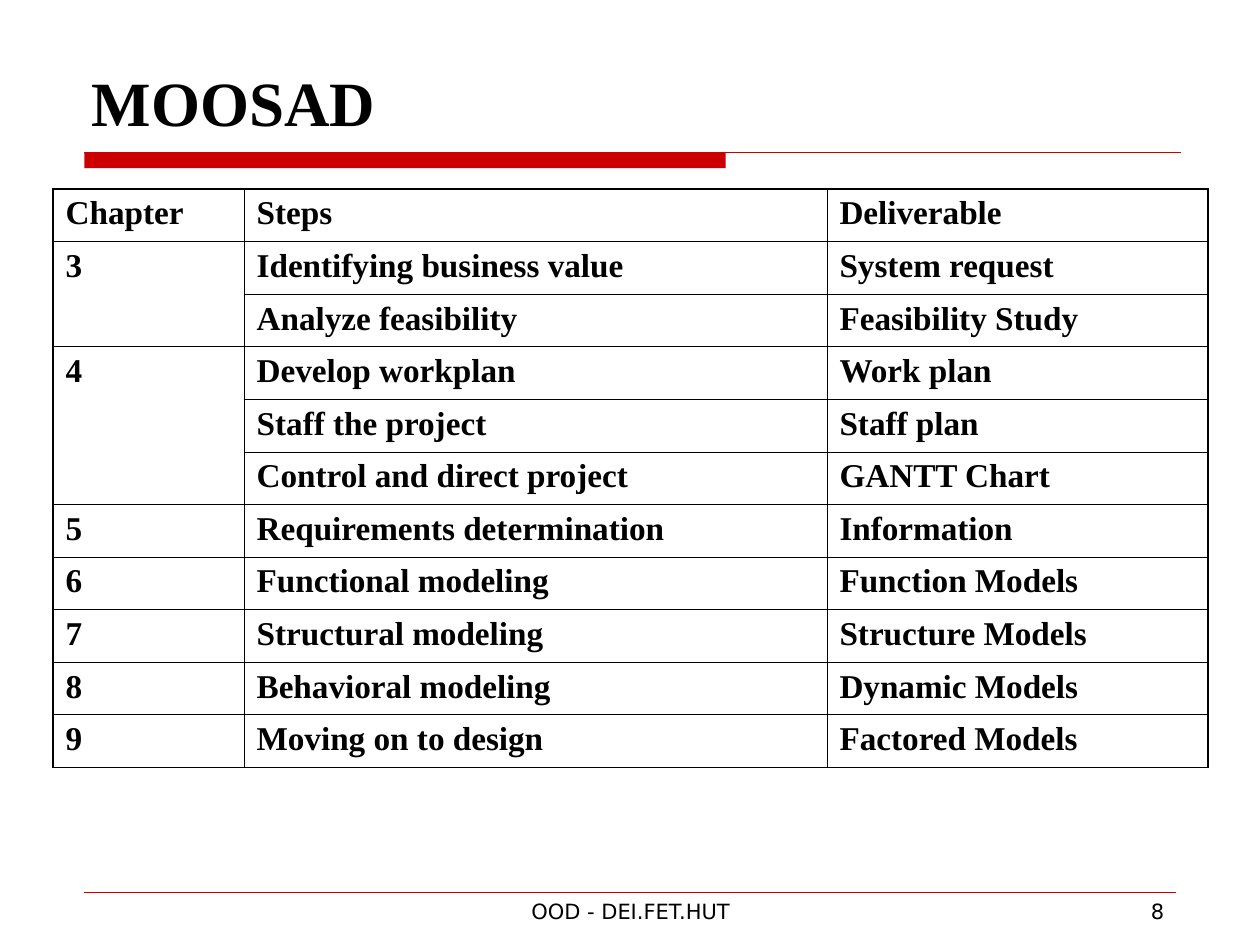
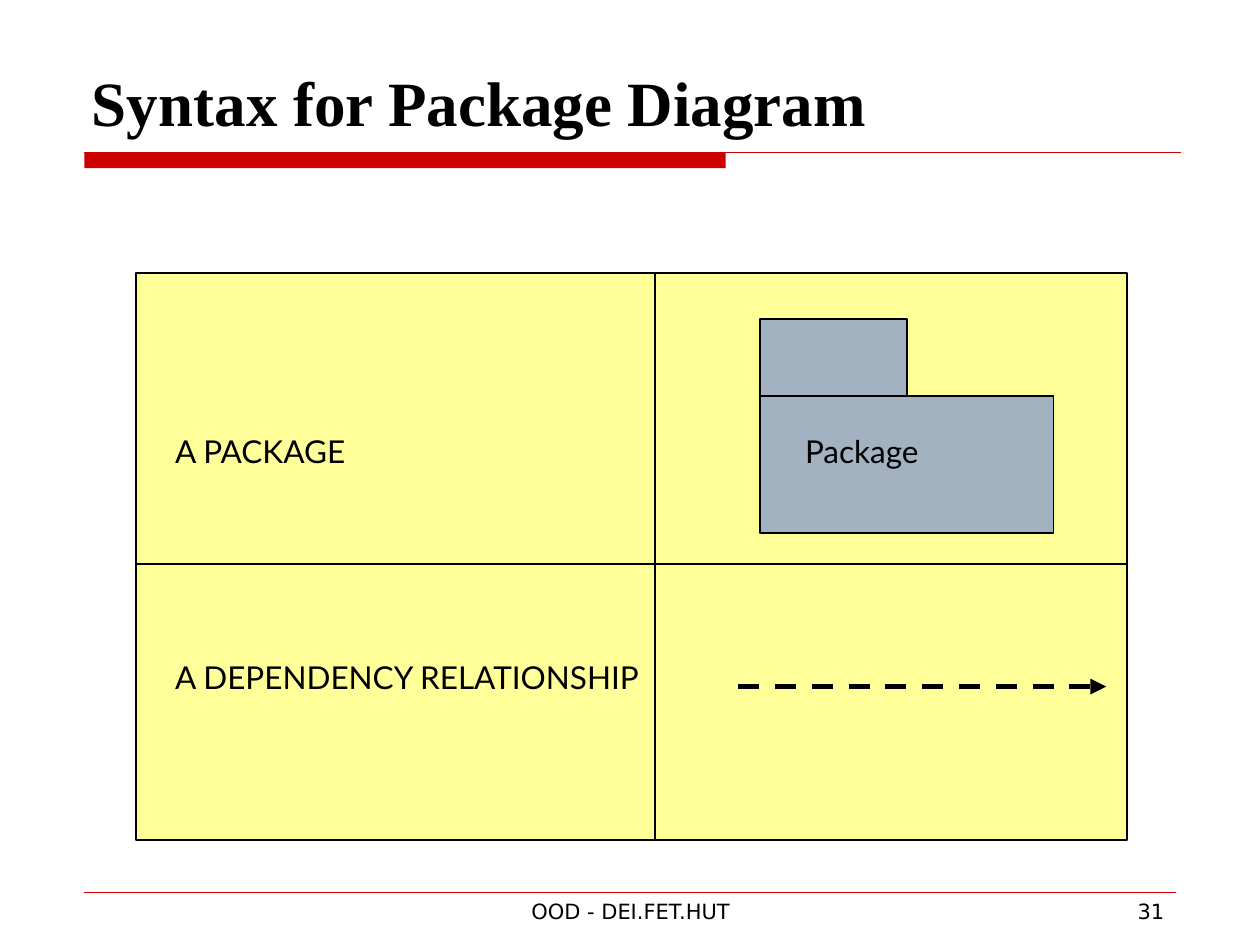
from dataclasses import dataclass
from lxml.etree import SubElement
from pptx import Presentation
from pptx.dml.color import RGBColor
from pptx.enum.dml import MSO_LINE
from pptx.enum.shapes import MSO_CONNECTOR, MSO_SHAPE
from pptx.enum.text import MSO_ANCHOR, MSO_AUTO_SIZE, PP_ALIGN
from pptx.oxml.ns import qn
from pptx.util import Cm, Pt

HEADS = ("Chapter", "Steps", "Deliverable")
PLAN = [
    ("3", [("Identifying business value", "System request"),
           ("Analyze feasibility", "Feasibility Study")]),
    ("4", [("Develop workplan", "Work plan"),
           ("Staff the project", "Staff plan"),
           ("Control and direct project", "GANTT Chart")]),
    ("5", [("Requirements determination", "Information")]),
    ("6", [("Functional modeling", "Function Models")]),
    ("7", [("Structural modeling", "Structure Models")]),
    ("8", [("Behavioral modeling", "Dynamic Models")]),
    ("9", [("Moving on to design", "Factored Models")]),
]
WIDTHS = (3.85, 11.75, 7.68)
ROW = 1.06
FOOTER = "OOD - DEI.FET.HUT"
LABELS = [
    ("A PACKAGE", 3.28, 8.59, 10.5),
    ("Package", 15.98, 8.59, 5),
    ("A DEPENDENCY RELATIONSHIP", 3.28, 13.14, 10.5),
]


@dataclass(frozen=True)
class Theme:
    ink: str = "000000"
    red: str = "CC0000"
    pale: str = "FFFF99"
    slate: str = "A3B2C1"
    serif: str = "Times New Roman"
    sans: str = "DejaVu Sans"
    label: str = "Lato"
    head: int = 36
    cell: int = 19
    body: int = 18
    foot: int = 12
    thin: float = 0.45
    edge: float = 1.08


THEME = Theme()


def style(para, face, size, bold=False, align=PP_ALIGN.LEFT):
    para.alignment = align
    font = para.font
    font.name, font.size, font.bold = face, Pt(size), bold
    font.color.rgb = RGBColor.from_string(THEME.ink)


def write(slide, text, box, face, size, align=PP_ALIGN.LEFT):
    frame = slide.shapes.add_textbox(*map(Cm, box)).text_frame
    frame.word_wrap = True
    para = frame.paragraphs[0]
    para.text = text
    style(para, face, size, align=align)


def block(slide, box, fill, edge=None):
    shape = slide.shapes.add_shape(MSO_SHAPE.RECTANGLE, *map(Cm, box))
    shape.shadow.inherit = False
    shape.fill.solid()
    shape.fill.fore_color.rgb = RGBColor.from_string(fill)
    if edge:
        shape.line.color.rgb = RGBColor.from_string(edge)
        shape.line.width = Pt(1)
    else:
        shape.line.fill.background()


def rule(slide, ends, color, width):
    link = slide.shapes.add_connector(MSO_CONNECTOR.STRAIGHT, *map(Cm, ends))
    link.line.color.rgb = RGBColor.from_string(color)
    link.line.width = Pt(width)
    SubElement(link._element.spPr, qn("a:effectLst"))
    return link


def start(deck, title, page):
    slide = deck.slides.add_slide(deck.slide_layouts[5])
    head = slide.shapes.title
    head.left, head.top, head.width, head.height = map(Cm, (1.6, 0.2, 22.23, 2.74))
    frame = head.text_frame
    frame.text = title
    frame.auto_size = MSO_AUTO_SIZE.NONE
    frame.vertical_anchor = MSO_ANCHOR.BOTTOM
    style(frame.paragraphs[0], THEME.serif, THEME.head, True)
    block(slide, (1.7, 3.07, 12.93, 0.32), THEME.red)
    rule(slide, (1.7, 3.07, 23.8, 3.07), THEME.red, 0.75)
    rule(slide, (1.7, 17.98, 23.7, 17.98), THEME.red, 0.25)
    write(slide, FOOTER, (8.69, 17.98, 8.05, 0.69), THEME.sans, THEME.foot, PP_ALIGN.CENTER)
    write(slide, str(page), (18.21, 17.98, 5.51, 0.69), THEME.sans, THEME.foot, PP_ALIGN.RIGHT)
    return slide


def border(cell, outer):
    props = cell._tc.get_or_add_tcPr()
    for side in "LRTB":
        width = THEME.edge if side in outer else THEME.thin
        line = SubElement(props, qn(f"a:ln{side}"), w=str(Pt(width)))
        fill = SubElement(line, qn("a:solidFill"))
        SubElement(fill, qn("a:srgbClr"), val=THEME.ink)
    cell.fill.background()


def steps(deck):
    slide = start(deck, "MOOSAD", 8)
    rows, spans = [HEADS], []
    for name, tasks in PLAN:
        spans.append((len(rows), len(rows) + len(tasks) - 1))
        rows += [("" if num else name, *task) for num, task in enumerate(tasks)]
    count, last = len(rows), len(HEADS) - 1
    box = (1.07, 3.81, sum(WIDTHS), ROW * count)
    grid = slide.shapes.add_table(count, len(HEADS), *map(Cm, box)).table
    grid.first_row = grid.horz_banding = False
    for col, width in zip(grid.columns, WIDTHS):
        col.width = Cm(width)
    for y, row in enumerate(rows):
        grid.rows[y].height = Cm(ROW)
        for x, text in enumerate(row):
            cell = grid.cell(y, x)
            cell.text = text
            style(cell.text_frame.paragraphs[0], THEME.serif, THEME.cell, True)
            sides = (("L", x == 0), ("R", x == last), ("T", y == 0), ("B", y == count - 1))
            border(cell, [side for side, hit in sides if hit])
    for first, end in spans:
        if end > first:
            grid.cell(first, 0).merge(grid.cell(end, 0))


def syntax(deck):
    slide = start(deck, "Syntax for Package Diagram", 31)
    left, top, width, height = panel = (2.75, 5.5, 19.97, 11.43)
    block(slide, panel, THEME.pale, THEME.ink)
    block(slide, (15.32, 7.98, 5.92, 2.77), THEME.slate, THEME.ink)
    block(slide, (15.32, 6.43, 2.96, 1.55), THEME.slate, THEME.ink)
    for text, x, y, wide in LABELS:
        write(slide, text, (x, y, wide, 1.02), THEME.label, THEME.body)
    rule(slide, (left, 11.37, left + width, 11.37), THEME.ink, 1)
    rule(slide, (13.2, top, 13.2, top + height), THEME.ink, 1)
    arrow = rule(slide, (14.88, 13.84, 22.3, 13.84), THEME.ink, 3)
    arrow.line.dash_style = MSO_LINE.DASH
    SubElement(arrow.line._get_or_add_ln(), qn("a:tailEnd"), type="triangle")


def main():
    deck = Presentation()
    deck.slide_width, deck.slide_height = Cm(25.4), Cm(19.05)
    steps(deck)
    syntax(deck)
    deck.save("out.pptx")


if __name__ == "__main__":
    main()
